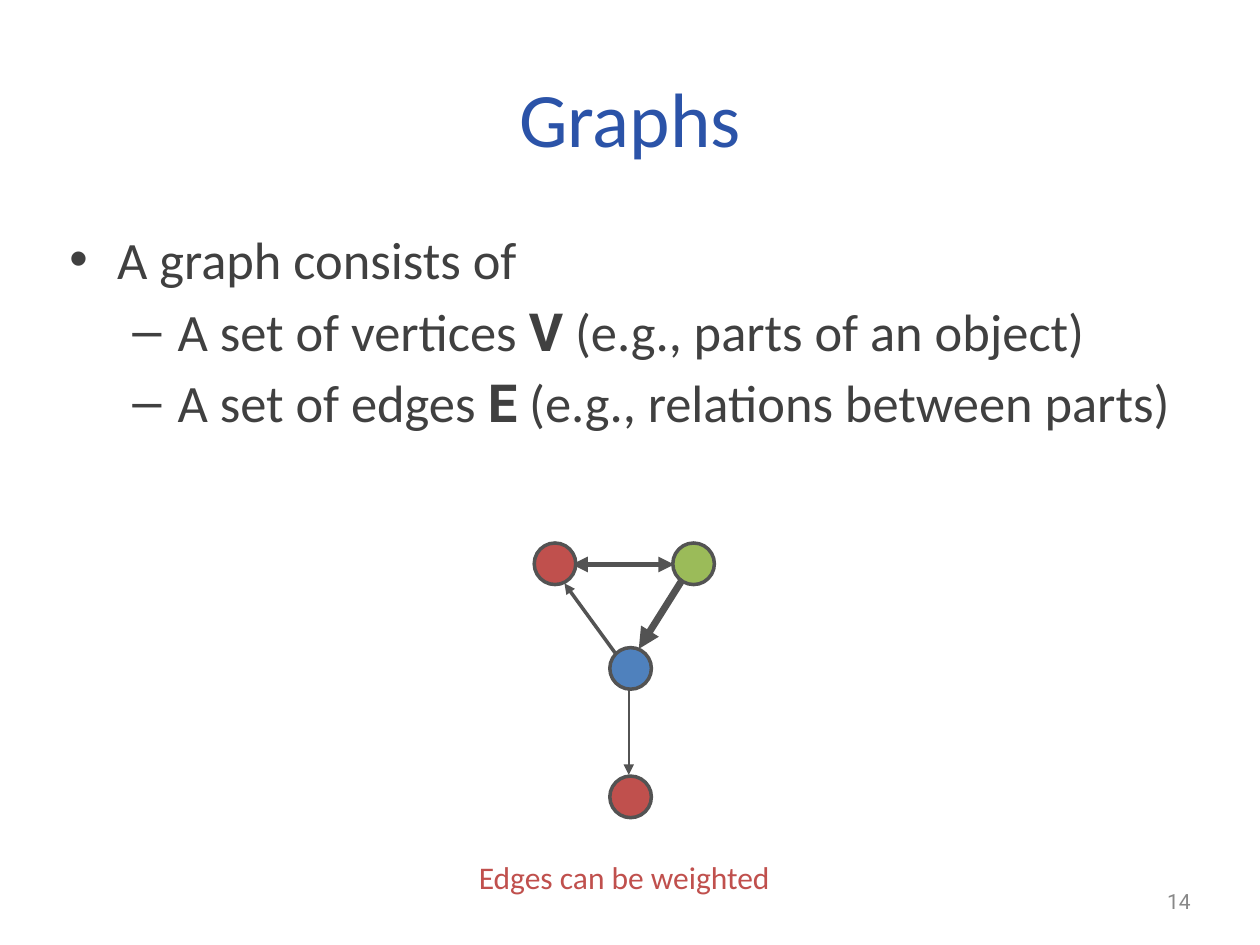
from lxml import etree
from pptx import Presentation
from pptx.dml.color import RGBColor
from pptx.enum import shapes, text
from pptx.oxml.ns import qn
from pptx.util import Inches, Pt

GRAY, RED, GREEN, BLUE = "535353", "C0504D", "9BBB59", "4F81BD"


def paint(target, color):
    """Give a fill, line fill or font colour a solid hex colour."""
    if hasattr(target, "solid"):
        target.solid()
        target = target.fore_color
    target.rgb = RGBColor.from_string(color)


def write(para, words, size=30, font="Calibri", color="404040", bold=False,
          align=text.PP_ALIGN.LEFT):
    para.alignment = align
    run = para.add_run()
    run.text = words
    run.font.size, run.font.name, run.font.bold = Pt(size), font, bold
    paint(run.font.color, color)


deck = Presentation()
deck.slide_width, deck.slide_height = Inches(10), Inches(7.5)
slide = deck.slides.add_slide(deck.slide_layouts[1])
title, body = slide.shapes.title, slide.placeholders[1]
note = slide.shapes.add_textbox(0, 0, 0, 0)
page = slide.shapes.add_textbox(0, 0, 0, 0)

# Text frames
top, mid = text.MSO_ANCHOR.TOP, text.MSO_ANCHOR.MIDDLE
for box, place, anchor, wrap in (
    (title, (0.5, 0.3, 9, 1.25), mid, True),
    (body, (0.5, 1.75, 9, 4.95), top, True),
    (note, (3.75, 6.76, 2.42, 0.36), top, False),
    (page, (7.17, 7.02, 2.33, 0.27), mid, True),
):
    box.left, box.top, box.width, box.height = map(Inches, place)
    frame = box.text_frame
    frame.auto_size = text.MSO_AUTO_SIZE.NONE
    frame.word_wrap, frame.vertical_anchor = wrap, anchor
    frame.margin_left = frame.margin_right = Inches(0.05)
    frame.margin_top = frame.margin_bottom = Inches(0.05)

# Title, caption and page number
write(title.text_frame.paragraphs[0], "Graphs", size=44, color="2B53A8",
      align=text.PP_ALIGN.CENTER)
write(note.text_frame.paragraphs[0], "Edges can be weighted", size=18, color=RED)
write(page.text_frame.paragraphs[0], "14", size=12, font="Roboto",
      color="888888", align=text.PP_ALIGN.RIGHT)

# Bullet list: level, parts (every second part is a bold symbol)
marks = (("•", 0.38, 0.38), ("–", 0.86, 0.36))
rows = (
    (0, ["A graph consists of"]),
    (1, ["A set of vertices ", "V", " (e.g., parts of an object)"]),
    (1, ["A set of edges ", "E", " (e.g., relations between parts)"]),
)
for n, (level, parts) in enumerate(rows):
    frame = body.text_frame
    para = frame.add_paragraph() if n else frame.paragraphs[0]
    para.level, para.space_before = level, Pt(5)
    for k, part in enumerate(parts):
        write(para, part, font="Roboto" if k % 2 else "Calibri", bold=k % 2 == 1)
    mark, left, hang = marks[level]
    props = para._p.get_or_add_pPr()
    props.set("marL", str(Inches(left)))
    props.set("indent", str(-Inches(hang)))
    etree.SubElement(props, qn("a:buChar")).set("char", mark)

# Weighted edges: start, end, width, arrowheads
edges = (
    ((4.99, 5.33), (4.48, 4.63), 2, ["tailEnd"]),
    ((5.51, 4.45), (5.07, 5.15), 4, ["tailEnd"]),
    ((4.99, 5.32), (4.99, 6.15), 1, ["tailEnd"]),
    ((4.54, 4.48), (5.35, 4.48), 3, ["headEnd", "tailEnd"]),
)
for start, end, width, heads in edges:
    edge = slide.shapes.add_connector(
        shapes.MSO_CONNECTOR.STRAIGHT, *map(Inches, start + end))
    edge.line.width = Pt(width)
    paint(edge.line.fill, GRAY)
    for head in heads:
        etree.SubElement(edge.line._get_or_add_ln(), qn("a:" + head)).set(
            "type", "triangle")
    etree.SubElement(edge._element.spPr, qn("a:effectLst"))

# Vertices
side = Inches(0.33)
for x, y, color in ((4.24, 4.31, RED), (5.34, 4.31, GREEN),
                    (4.84, 5.14, BLUE), (4.84, 6.16, RED)):
    node = slide.shapes.add_shape(
        shapes.MSO_SHAPE.OVAL, Inches(x), Inches(y), side, side)
    node.shadow.inherit = False
    node.line.width = Pt(2)
    paint(node.fill, color)
    paint(node.line.fill, GRAY)

deck.save("out.pptx")
